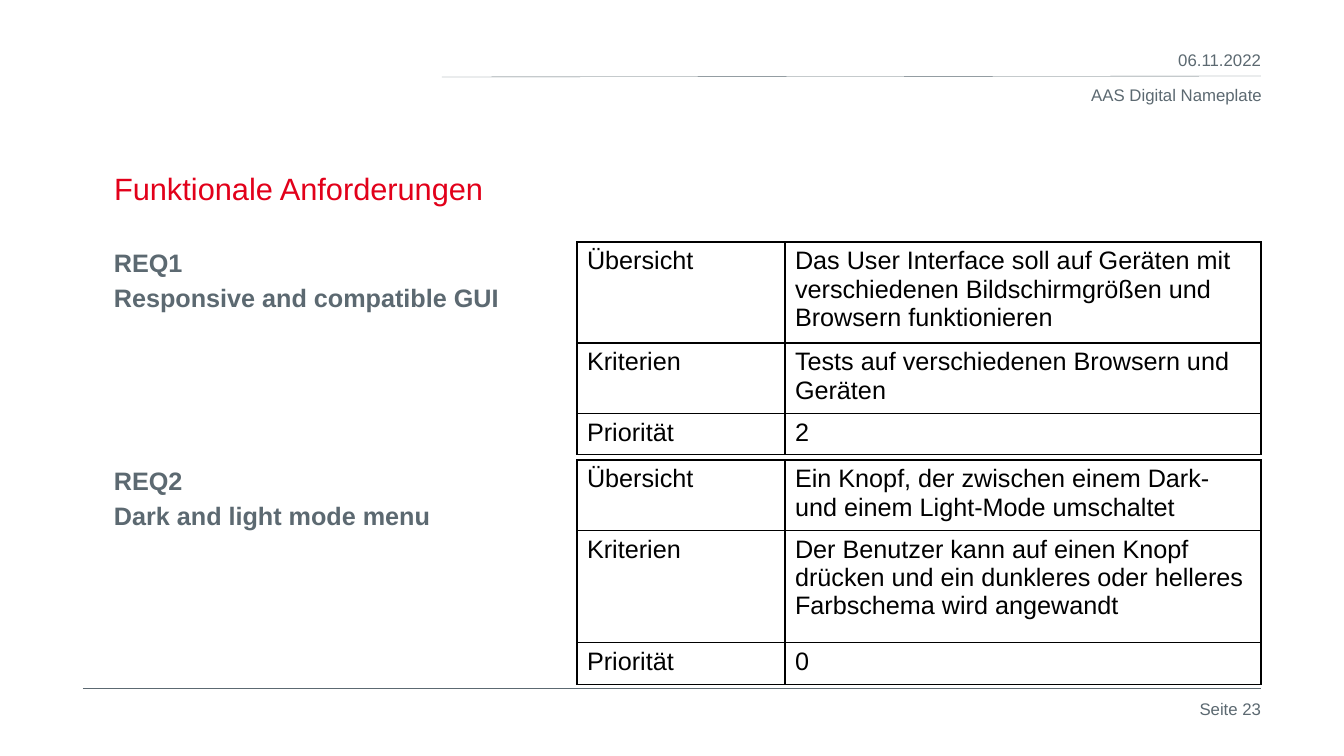
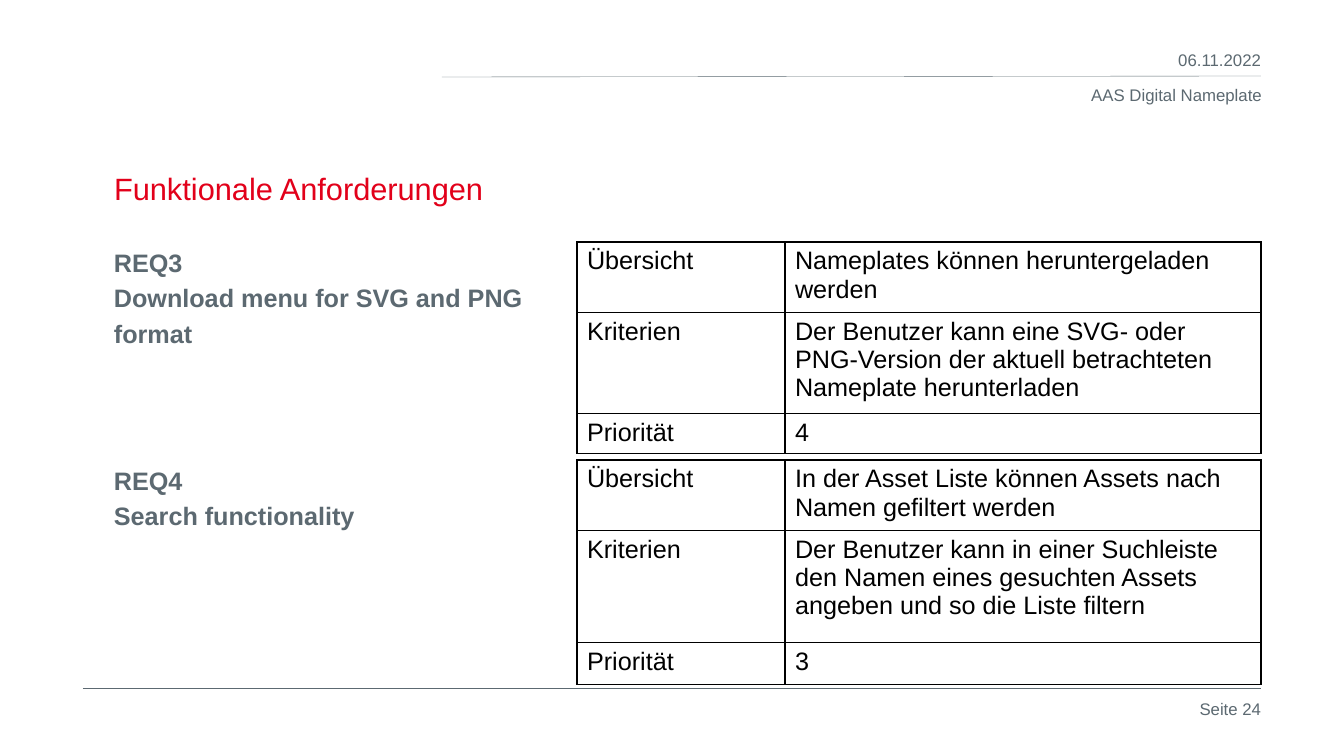
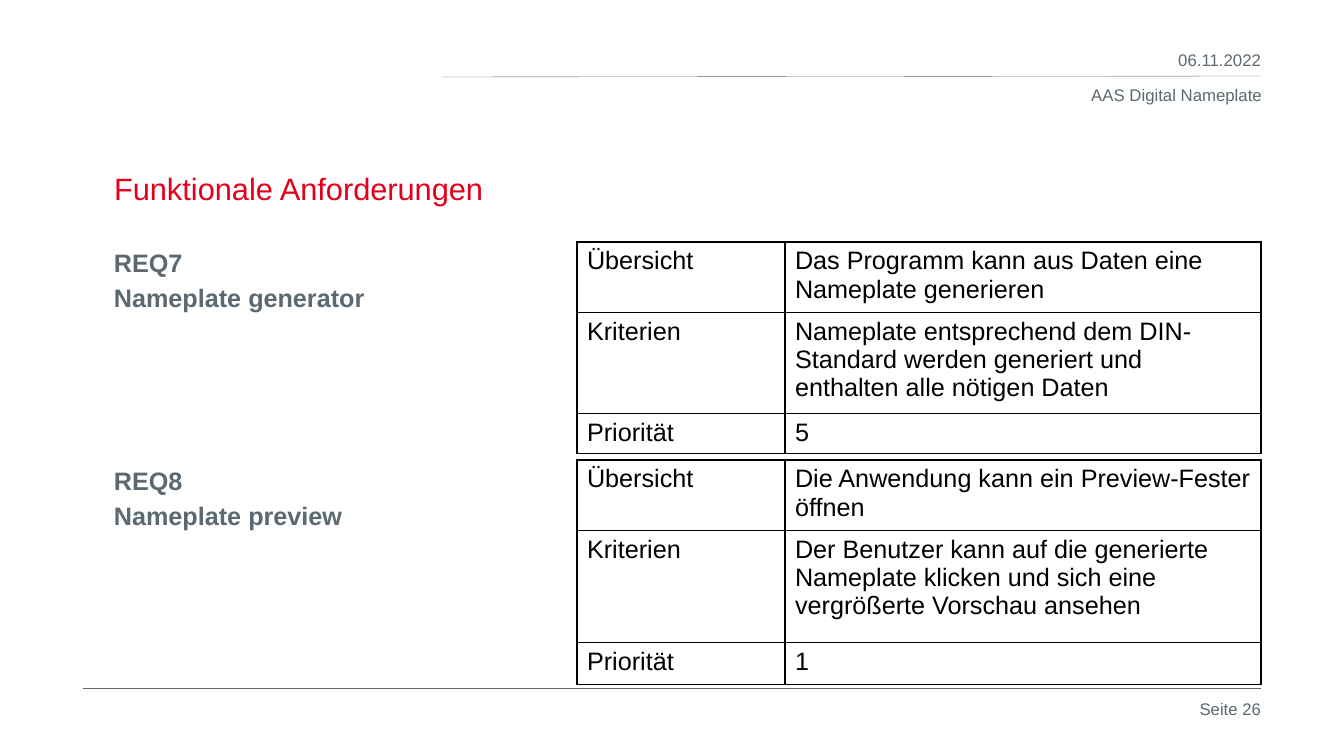
from lxml import etree
from pptx import Presentation
from pptx.dml.color import RGBColor
from pptx.enum.shapes import MSO_CONNECTOR
from pptx.enum.text import MSO_ANCHOR, MSO_AUTO_SIZE, PP_ALIGN
from pptx.oxml.ns import qn
from pptx.util import Emu, Pt

STRAIGHT = MSO_CONNECTOR.STRAIGHT
LEFT, RIGHT = PP_ALIGN.LEFT, PP_ALIGN.RIGHT
TOP, BOTTOM = MSO_ANCHOR.TOP, MSO_ANCHOR.BOTTOM
FIXED = MSO_AUTO_SIZE.NONE

RED = RGBColor(0xE2, 0x00, 0x1A)
SLATE = RGBColor(0x5C, 0x69, 0x71)
BLACK = RGBColor(0x00, 0x00, 0x00)
FONT = "Arial"

WIDE, HIGH = 1344, 756
SCALE = 12192000 / WIDE
EDGE = 104
TABLE = 473
COLS = (208, 476)
LABELS = ("Übersicht", "Kriterien", "Priorität")
UPPER, LOWER = 242, 460
LAST = (66, 112, 42)

PAGES = [
    (23, [
        (UPPER, (101, 66, 41), ("REQ1", "Responsive and compatible GUI"), (
            "Das User Interface soll auf Geräten mit verschiedenen "
            "Bildschirmgrößen und Browsern funktionieren",
            "Tests auf verschiedenen Browsern und Geräten",
            "2")),
        (LOWER, LAST, ("REQ2", "Dark and light mode menu"), (
            "Ein Knopf, der zwischen einem Dark- und einem Light-Mode umschaltet",
            "Der Benutzer kann auf einen Knopf drücken und ein dunkleres oder "
            "helleres Farbschema wird angewandt",
            "0")),
    ]),
    (24, [
        (UPPER, (67, 95, 38), ("REQ3", "Download menu for SVG and PNG", "format"), (
            "Nameplates können heruntergeladen werden",
            "Der Benutzer kann eine SVG- oder PNG-Version der aktuell "
            "betrachteten Nameplate herunterladen",
            "4")),
        (LOWER, LAST, ("REQ4", "Search functionality"), (
            "In der Asset Liste können Assets nach Namen gefiltert werden",
            "Der Benutzer kann in einer Suchleiste den Namen eines gesuchten "
            "Assets angeben und so die Liste filtern",
            "3")),
    ]),
    (26, [
        (UPPER, (67, 95, 39), ("REQ7", "Nameplate generator"), (
            "Das Programm kann aus Daten eine Nameplate generieren",
            "Nameplate entsprechend dem DIN-Standard werden generiert und "
            "enthalten alle nötigen Daten",
            "5")),
        (LOWER, LAST, ("REQ8", "Nameplate preview"), (
            "Die Anwendung kann ein Preview-Fester öffnen",
            "Der Benutzer kann auf die generierte Nameplate klicken und sich "
            "eine vergrößerte Vorschau ansehen",
            "1")),
    ]),
]


def px(num):
    """Turn pixels into EMU."""
    return Emu(round(num * SCALE))


def write(frame, lines, size, color, align=LEFT, bold=False, gap=0):
    """Fill a text frame with one paragraph per line."""
    frame.word_wrap = True
    for pos, line in enumerate(lines):
        para = frame.add_paragraph() if pos else frame.paragraphs[0]
        para.alignment = align
        para.space_before = Pt(gap)
        run = para.add_run()
        run.text = line
        font = run.font
        font.name, font.size, font.bold = FONT, Pt(size), bold
        font.color.rgb = color


def label(slide, box, lines, size=12, **style):
    """Place a slate text box."""
    shape = slide.shapes.add_textbox(*map(px, box))
    write(shape.text_frame, lines, size, SLATE, **style)


def rule(slide, start, end):
    """Draw a hairline."""
    line = slide.shapes.add_connector(STRAIGHT, *map(px, start + end))
    line.line.color.rgb = SLATE
    line.line.width = Pt(0.25)
    etree.SubElement(line._element.spPr, qn("a:effectLst"))


def frame(slide, page):
    """Draw the header, footer and title of a page."""
    rule(slide, (442, 77), (1261, 76))
    rule(slide, (83, 688), (1261, 688))
    label(slide, (1004, 45, 267, 31), ["06.11.2022"], align=RIGHT)
    label(slide, (859, 80, 413, 50), ["AAS Digital Nameplate"], align=RIGHT)
    label(slide, (1147, 694, 124, 50), [f"Seite {page}"], align=RIGHT)
    title = slide.shapes.title
    title.left, title.top, title.width, title.height = map(px, (EDGE, 119, 1158, 93))
    text = title.text_frame
    text.auto_size = FIXED
    text.vertical_anchor = BOTTOM
    write(text, ["Funktionale Anforderungen"], 22, RED)


def border(cell):
    """Give a cell thin black sides."""
    props = cell._tc.get_or_add_tcPr()
    for pos, side in enumerate(("lnL", "lnR", "lnT", "lnB")):
        line = etree.Element(qn(f"a:{side}"), w=str(Pt(1)))
        fill = etree.SubElement(line, qn("a:solidFill"))
        etree.SubElement(fill, qn("a:srgbClr"), val=str(BLACK))
        props.insert(pos, line)


def grid(slide, box, rows, texts):
    """Place the table of one requirement."""
    table = slide.shapes.add_table(len(rows), len(COLS), *map(px, box)).table
    table.first_row = table.horz_banding = False
    for col, width in zip(table.columns, COLS):
        col.width = px(width)
    for row, height, pair in zip(table.rows, rows, zip(LABELS, texts)):
        row.height = px(height)
        for cell, text in zip(row.cells, pair):
            cell.fill.background()
            cell.vertical_anchor = TOP
            write(cell.text_frame, [text], 18, BLACK)
            border(cell)


def block(slide, left, top, rows, names, texts):
    """Place a requirement's name beside its table."""
    high = sum(rows)
    label(slide, (left, top, 451, high), names, 18, bold=True, gap=4)
    grid(slide, (left + TABLE, top, sum(COLS), high), rows, texts)


def main():
    """Build and save the slides."""
    deck = Presentation()
    deck.slide_width, deck.slide_height = px(WIDE), px(HIGH)
    for page, blocks in PAGES:
        slide = deck.slides.add_slide(deck.slide_layouts[5])
        frame(slide, page)
        for part in blocks:
            block(slide, EDGE, *part)
    deck.save("out.pptx")


if __name__ == "__main__":
    main()
